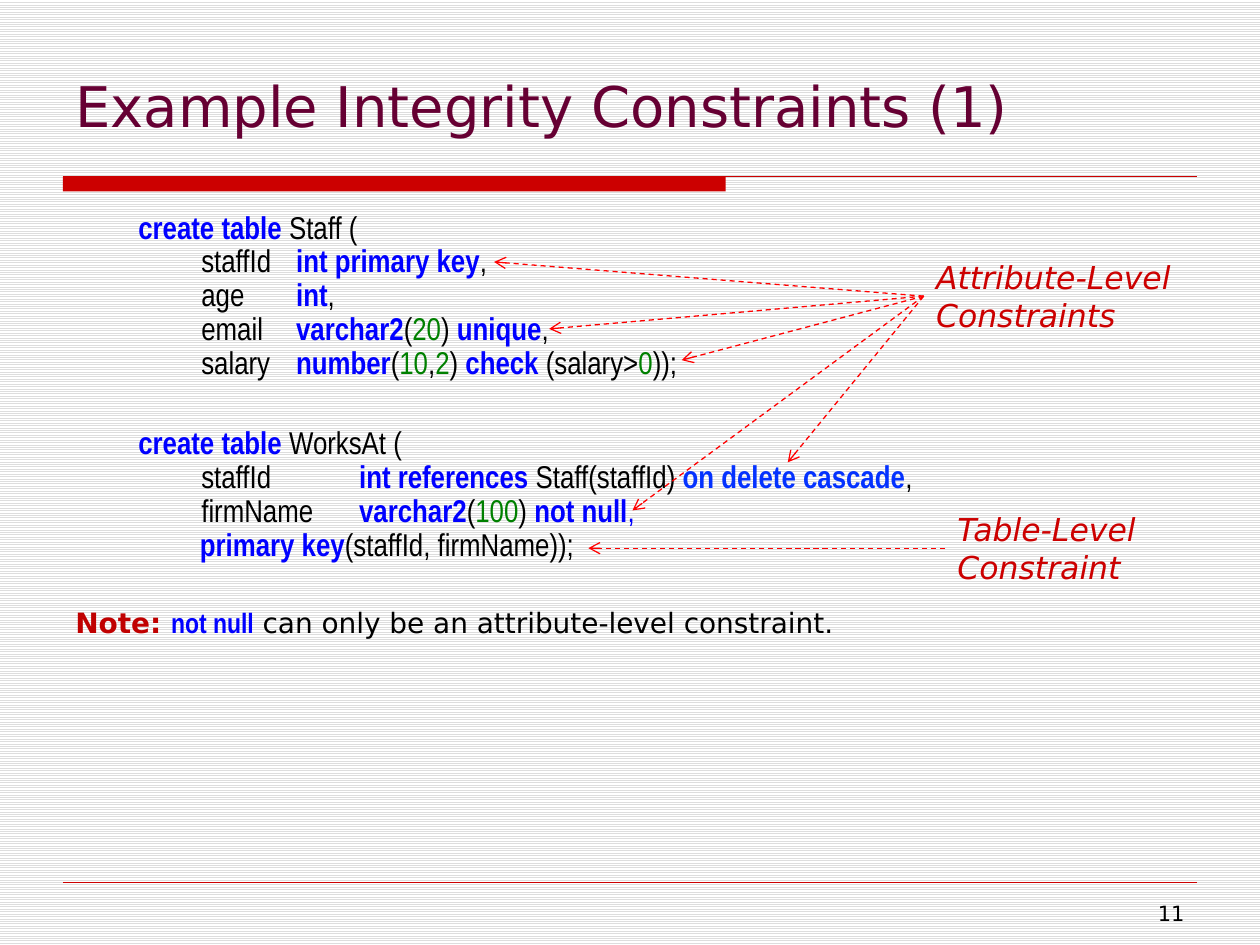
"""Builds the slide on attribute-level and table-level integrity constraints."""
from dataclasses import dataclass

from lxml.etree import SubElement
from pptx import Presentation
from pptx.dml.color import RGBColor as Rgb
from pptx.enum.dml import MSO_LINE_DASH_STYLE as Dash, MSO_PATTERN_TYPE as Pattern
from pptx.enum.shapes import MSO_CONNECTOR_TYPE as Connector, MSO_SHAPE as Shape
from pptx.enum.text import MSO_ANCHOR as Anchor, PP_ALIGN as Align
from pptx.oxml.ns import qn
from pptx.util import Cm, Pt


@dataclass(frozen=True)
class Theme:
    sans: str = "DejaVu Sans"
    narrow: str = "Arial Narrow"
    title: str = "660033"
    accent: str = "CC0000"
    arrow: str = "FF0000"
    text: str = "000000"
    keyword: str = "0000FF"
    cascade: str = "0432FF"
    number: str = "008000"
    note: str = "C00000"
    paper: str = "FFFFFF"
    stripe: str = "DDDDDD"
    title_size: int = 32
    code_size: int = 18
    note_size: int = 16
    page_size: int = 12


THEME = Theme()
LEFT, RIGHT, WIDTH = 1.27, 24.13, 22.86
RULE_TOP = 3.56
HEADING, COLUMN, WIDE_COLUMN, KEY = (1.27, 0), (4.45, -1.91), (5.72, -3.18), (2.51, 0)


def plain(text):
    return text, {}


def keyword(text, color=THEME.keyword):
    return text, {"color": color, "bold": True}


def number(text):
    return text, {"color": THEME.number}


COMMA, OPEN, CLOSE = plain(","), plain("("), plain(") ")
CODE = [
    (HEADING, 12, [keyword("create table "), plain("Staff (")]),
    (COLUMN, 0, [plain("staffId\t"), keyword("int primary key"), COMMA]),
    (COLUMN, 0, [plain("age\t"), keyword("int"), COMMA]),
    (COLUMN, 0, [plain("email\t"), keyword("varchar2"), OPEN, number("20"), CLOSE,
                 keyword("unique"), COMMA]),
    (COLUMN, 0, [plain("salary\t"), keyword("number"), OPEN, number("10"), COMMA,
                 number("2"), CLOSE, keyword("check"), plain(" (salary>"),
                 number("0"), plain("));")]),
    (HEADING, 24, [keyword("create table "), plain("WorksAt (")]),
    (WIDE_COLUMN, 0, [plain("staffId\t"), keyword("int references"),
                      plain(" Staff(staffId) "),
                      keyword("on delete cascade", THEME.cascade), COMMA]),
    (WIDE_COLUMN, 0, [plain("firmName\t"), keyword("varchar2"), OPEN, number("100"),
                      CLOSE, keyword("not null"), (",", {"color": THEME.keyword})]),
    (KEY, 0, [keyword("primary key"), plain("(staffId, firmName));")]),
]
NOTE = [
    ("Note: ", {"color": THEME.note, "bold": True}),
    ("not null", {"color": THEME.keyword, "bold": True, "name": THEME.narrow}),
    plain(" can only be an attribute-level constraint."),
]
ATTRIBUTE_ORIGIN = (18.62, 5.97)
ATTRIBUTE_TARGETS = [(9.96, 5.28), (11.07, 6.63), (13.74, 7.26), (15.88, 9.32), (12.75, 10.29)]
TABLE_ORIGIN, TABLE_TARGET = (19.05, 11.05), (11.86, 11.05)


class SlideBuilder:
    def __init__(self, slide, theme):
        self.slide = slide
        self.theme = theme

    def background(self):
        fill = self.slide.background.fill
        fill.patterned()
        fill.pattern = Pattern.LIGHT_HORIZONTAL
        fill.fore_color.rgb = Rgb.from_string(self.theme.stripe)
        fill.back_color.rgb = Rgb.from_string(self.theme.paper)

    def bar(self, left, top, width, height):
        shape = self.slide.shapes.add_shape(
            Shape.RECTANGLE, Cm(left), Cm(top), Cm(width), Cm(height))
        shape.shadow.inherit = False
        shape.fill.solid()
        shape.fill.fore_color.rgb = Rgb.from_string(self.theme.accent)
        shape.line.fill.background()

    def line(self, start, end, color, weight):
        connector = self.slide.shapes.add_connector(
            Connector.STRAIGHT, *(Cm(value) for value in (*start, *end)))
        connector.line.color.rgb = Rgb.from_string(color)
        connector.line.width = Pt(weight)
        SubElement(connector.element.spPr, qn("a:effectLst"))
        return connector

    def arrow(self, start, end):
        connector = self.line(start, end, self.theme.arrow, 0.75)
        connector.line.dash_style = Dash.DASH
        outline = connector.element.spPr.find(qn("a:ln"))
        SubElement(outline, qn("a:tailEnd"), type="arrow")

    def text_box(self, left, top, width, height, anchor=Anchor.TOP):
        shape = self.slide.shapes.add_textbox(Cm(left), Cm(top), Cm(width), Cm(height))
        frame = shape.text_frame
        frame.word_wrap = True
        frame.vertical_anchor = anchor
        return frame

    def style(self, font, name=None, size=None, color=None, bold=None, italic=None):
        if name:
            font.name = name
        if size:
            font.size = Pt(size)
        if color:
            font.color.rgb = Rgb.from_string(color)
        font.bold = bold
        font.italic = italic

    def paragraph(self, frame, runs, size, name=None, color=None, italic=None,
                  indent=(0, 0), before=0, spacing=1.0, align=Align.LEFT):
        paragraph = frame.paragraphs[0] if not frame.text else frame.add_paragraph()
        paragraph.alignment = align
        paragraph.space_before = Pt(before)
        paragraph.line_spacing = spacing
        properties = paragraph._p.get_or_add_pPr()
        properties.set("marL", str(Cm(indent[0])))
        properties.set("indent", str(Cm(indent[1])))
        self.style(paragraph.font, name or self.theme.sans, size,
                   color or self.theme.text, italic=italic)
        for text, look in runs:
            run = paragraph.add_run()
            run.text = text
            if look:
                self.style(run.font, **look)

    def label(self, box, lines):
        frame = self.text_box(*box)
        for line in lines:
            self.paragraph(frame, [plain(line)], self.theme.code_size,
                           color=self.theme.accent, italic=True)


def main():
    presentation = Presentation()
    presentation.slide_width, presentation.slide_height = Cm(25.4), Cm(19.05)
    slide = presentation.slides.add_slide(presentation.slide_layouts[6])
    builder = SlideBuilder(slide, THEME)

    builder.background()
    builder.bar(LEFT, RULE_TOP, 13.36, 0.3)
    for top, weight in ((RULE_TOP, 0.75), (17.78, 0.25)):
        builder.line((LEFT, top), (RIGHT, top), THEME.accent, weight)

    title = builder.text_box(LEFT, 0.84, WIDTH, 2.54, Anchor.MIDDLE)
    builder.paragraph(title, [plain("Example Integrity Constraints (1)")],
                      THEME.title_size, color=THEME.title)

    body = builder.text_box(LEFT, 4.06, WIDTH, 13.46)
    for indent, before, runs in CODE:
        builder.paragraph(body, runs, THEME.code_size, THEME.narrow, indent=indent,
                          before=before, spacing=1.0 if indent == HEADING else 0.9)
    builder.paragraph(body, NOTE, THEME.note_size, before=24)

    page = builder.text_box(18.62, 18.03, 5.51, 0.64)
    builder.paragraph(page, [plain("11")], THEME.page_size, align=Align.RIGHT)

    builder.label((19.05, 10.16, 4.45, 1.8), ["Table-Level", "Constraint"])
    builder.label((18.62, 5.08, 5.61, 1.8), ["Attribute-Level Constraints"])
    for target in ATTRIBUTE_TARGETS:
        builder.arrow(ATTRIBUTE_ORIGIN, target)
    builder.arrow(TABLE_ORIGIN, TABLE_TARGET)

    presentation.save("out.pptx")


if __name__ == "__main__":
    main()
